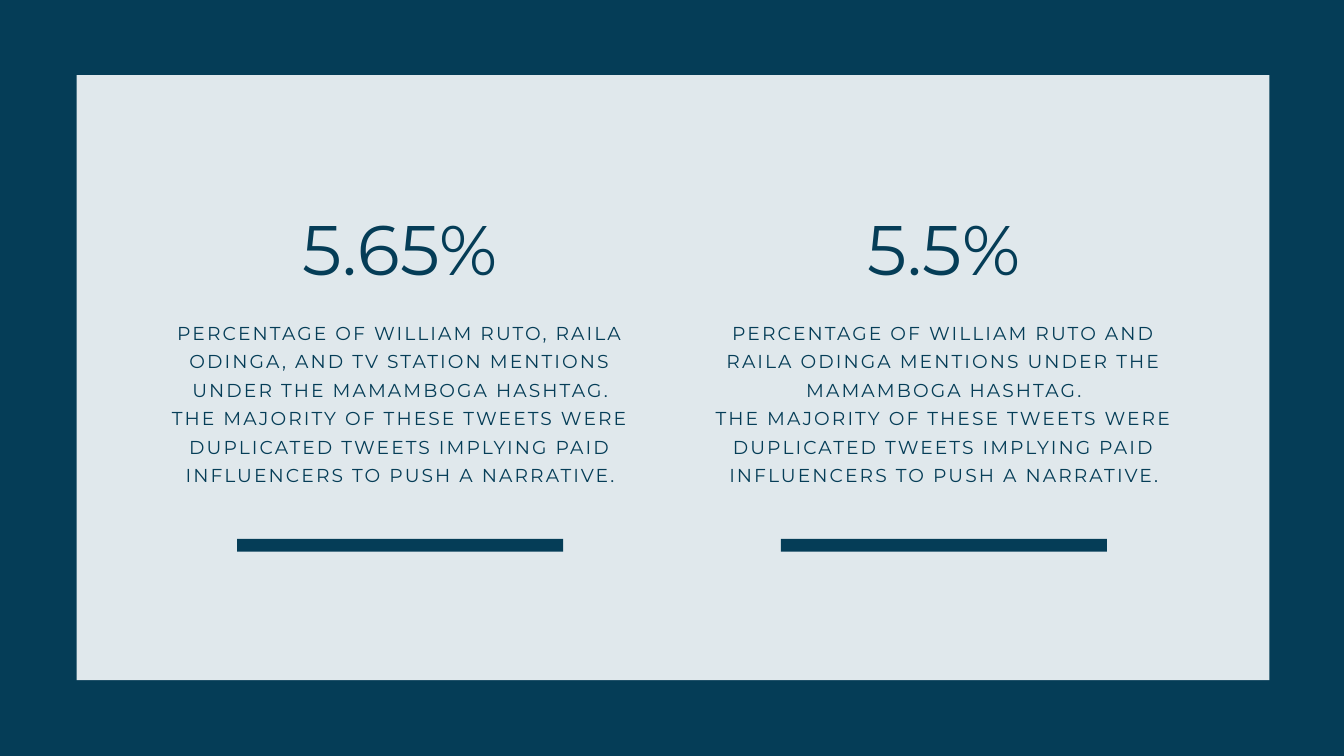
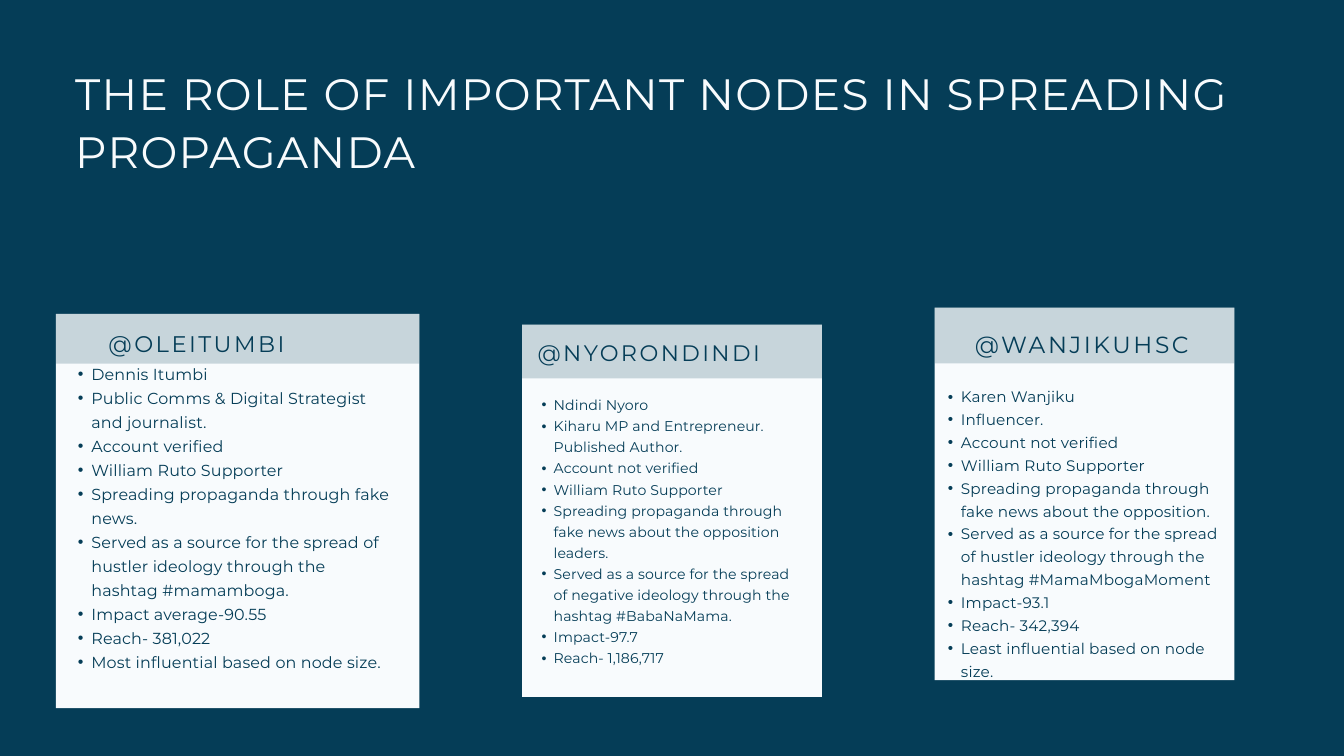
from dataclasses import dataclass

from lxml.etree import SubElement
from pptx import Presentation
from pptx.dml.color import RGBColor as Rgb
from pptx.enum.shapes import MSO_SHAPE as Shape
from pptx.enum.text import MSO_AUTO_SIZE as Fit, PP_ALIGN as Align
from pptx.oxml.ns import qn
from pptx.slide import Slide
from pptx.util import Inches, Pt

HUES = {"navy": "053D57", "white": "F8FBFD"}
FACE = "Montserrat"


@dataclass
class Box:
    """A place on the slide, in inches."""
    left: float
    top: float
    width: float
    height: float

    def emu(self) -> list[int]:
        """Give the four lengths for python-pptx."""
        return [Inches(n) for n in (self.left, self.top, self.width, self.height)]


@dataclass
class Style:
    """The look of a text: point sizes, colour, alignment, list indent."""
    size: float
    line: float
    gap: float
    hue: str = "navy"
    align: Align = Align.CENTER
    dent: float = 0


@dataclass
class Stat:
    """A figure with the sentence that explains it."""
    left: float
    value: str
    note: str


@dataclass
class Card:
    """An account card: panel, tinted band, handle and facts."""
    panel: Box
    band: float
    name: str
    head: Box
    look: Style
    list: Box
    body: Style
    facts: list[str]


def add_page(deck: Presentation) -> Slide:
    """Add a blank slide on navy."""
    page = deck.slides.add_slide(deck.slide_layouts[6])
    fill = page.background.fill
    fill.solid()
    fill.fore_color.rgb = Rgb.from_string(HUES["navy"])
    return page


def add_rect(page: Slide, box: Box, hue: str, alpha: int = 100) -> None:
    """Draw a plain rectangle, alpha in percent."""
    rect = page.shapes.add_shape(Shape.RECTANGLE, *box.emu())
    rect.shadow.inherit = False
    rect.line.fill.background()
    rect.fill.solid()
    rect.fill.fore_color.rgb = Rgb.from_string(HUES[hue])
    if alpha < 100:
        tint = rect._element.spPr.find(qn("a:solidFill"))[0]
        SubElement(tint, qn("a:alpha"), val=str(alpha * 1000))


def add_text(page: Slide, box: Box, style: Style, *lines: str) -> None:
    """Write one paragraph per line, bulleted if the style has an indent."""
    frame = page.shapes.add_textbox(*box.emu()).text_frame
    frame.word_wrap = True
    frame.auto_size = Fit.SHAPE_TO_FIT_TEXT
    frame.margin_left = frame.margin_right = 0
    frame.margin_top = frame.margin_bottom = 0
    frame.text = "\n".join(lines)
    for para in frame.paragraphs:
        para.alignment = style.align
        para.line_spacing = Pt(style.line)
        font = para.font
        font.name, font.size = FACE, Pt(style.size)
        font.color.rgb = Rgb.from_string(HUES[style.hue])
        props = para._p.pPr
        base = props.find(qn("a:defRPr"))
        base.set("spc", str(round(style.gap * 100)))
        if style.dent:
            para.level = 1
            props.set("marL", str(Inches(style.dent)))
            props.set("indent", str(-Inches(style.dent / 2)))
            face = SubElement(props, qn("a:buFont"), typeface="Arial")
            mark = SubElement(props, qn("a:buChar"), char="•")
            base.addprevious(face)
            base.addprevious(mark)


def add_stat(page: Slide, stat: Stat) -> None:
    """Draw a figure, its note and the bar below."""
    add_text(page, Box(stat.left, 3, 7.05, 1.29), FIGURE, stat.value)
    add_text(page, Box(stat.left, 4.69, 7.05, 2.88), NOTE, stat.note, CLAIM)
    add_rect(page, Box(stat.left + 1.1, 8.02, 4.85, 0.19), "navy")


def add_card(page: Slide, card: Card) -> None:
    """Draw an account card."""
    box = card.panel
    add_rect(page, box, "white")
    add_rect(page, Box(box.left, box.top, box.width, card.band), "navy", 20)
    add_text(page, card.head, card.look, card.name)
    add_text(page, card.list, card.body, *card.facts)


def bullets(size: float, line: float, gap: float, dent: float) -> Style:
    """Give the style of a bulleted list."""
    return Style(size, line, gap, align=Align.LEFT, dent=dent)


TITLE = Style(47, 61.6, 1.4, "white", Align.LEFT)
FIGURE = Style(75, 94.5, 0.7)
NOTE = Style(20, 30.6, 2.2)
CLAIM = ("THE MAJORITY OF THESE TWEETS WERE DUPLICATED TWEETS IMPLYING PAID "
         "INFLUENCERS TO PUSH A NARRATIVE.")
FAN = "William Ruto Supporter"
HUSTLE = "Served as a source for the spread of hustler ideology through the hashtag "

STATS = [
    Stat(2.43, "5.65%", "PERCENTAGE OF WILLIAM RUTO, RAILA ODINGA, AND TV STATION "
         "MENTIONS UNDER THE MAMAMBOGA HASHTAG."),
    Stat(10.52, "5.5%", "PERCENTAGE OF WILLIAM RUTO AND RAILA ODINGA MENTIONS "
         "UNDER THE MAMAMBOGA HASHTAG."),
]

CARDS = [
    Card(Box(0.83, 4.67, 5.41, 5.87), 0.74,
         "@OLEITUMBI", Box(0.97, 4.8, 3.91, 0.5), Style(24.2, 37, 2.7),
         Box(0.96, 5.35, 4.84, 5.43), bullets(17.1, 25.7, 0.2, 0.4),
         ["Dennis Itumbi",
          "Public Comms & Digital Strategist and journalist.",
          "Account verified",
          FAN,
          "Spreading propaganda through fake news.",
          HUSTLE + "#mamamboga.",
          "Impact average-90.55",
          "Reach- 381,022",
          "Most influential based on node size."]),
    Card(Box(7.77, 4.83, 4.46, 5.54), 0.8,
         "@NYORONDINDI", Box(7.85, 4.93, 3.61, 0.47), Style(24, 36.7, 2.6),
         Box(7.88, 5.84, 3.94, 4.45), bullets(15.1, 22.6, 0.1, 0.36),
         ["Ndindi Nyoro",
          "Kiharu MP and Entrepreneur. Published Author.",
          "Account not verified",
          FAN,
          "Spreading propaganda through fake news about the opposition leaders.",
          "Served as a source for the spread of negative ideology through the "
          "hashtag #BabaNaMama.",
          "Impact-97.7",
          "Reach- 1,186,717"]),
    Card(Box(13.91, 4.58, 4.46, 5.54), 0.83,
         "@WANJIKUHSC", Box(14.08, 4.8, 4.04, 0.51), Style(25, 38.2, 2.8),
         Box(13.91, 5.7, 4.46, 5.44), bullets(16.3, 24.5, 0.2, 0.39),
         ["Karen Wanjiku",
          "Influencer.",
          "Account not verified",
          FAN,
          "Spreading propaganda through fake news about the opposition.",
          HUSTLE + "#MamaMbogaMoment",
          "Impact-93.1",
          "Reach- 342,394",
          "Least influential based on node size."]),
]


def main() -> None:
    """Build both slides and save."""
    deck = Presentation()
    deck.slide_width, deck.slide_height = Inches(20), Inches(11.25)

    page = add_page(deck)
    add_rect(page, Box(1.14, 1.12, 17.75, 9), "white", 90)
    for stat in STATS:
        add_stat(page, stat)

    page = add_page(deck)
    add_text(page, Box(1.12, 0.92, 17.8, 1.69), TITLE,
             "THE ROLE OF IMPORTANT NODES IN SPREADING PROPAGANDA")
    for card in CARDS:
        add_card(page, card)

    deck.save("out.pptx")


main()
